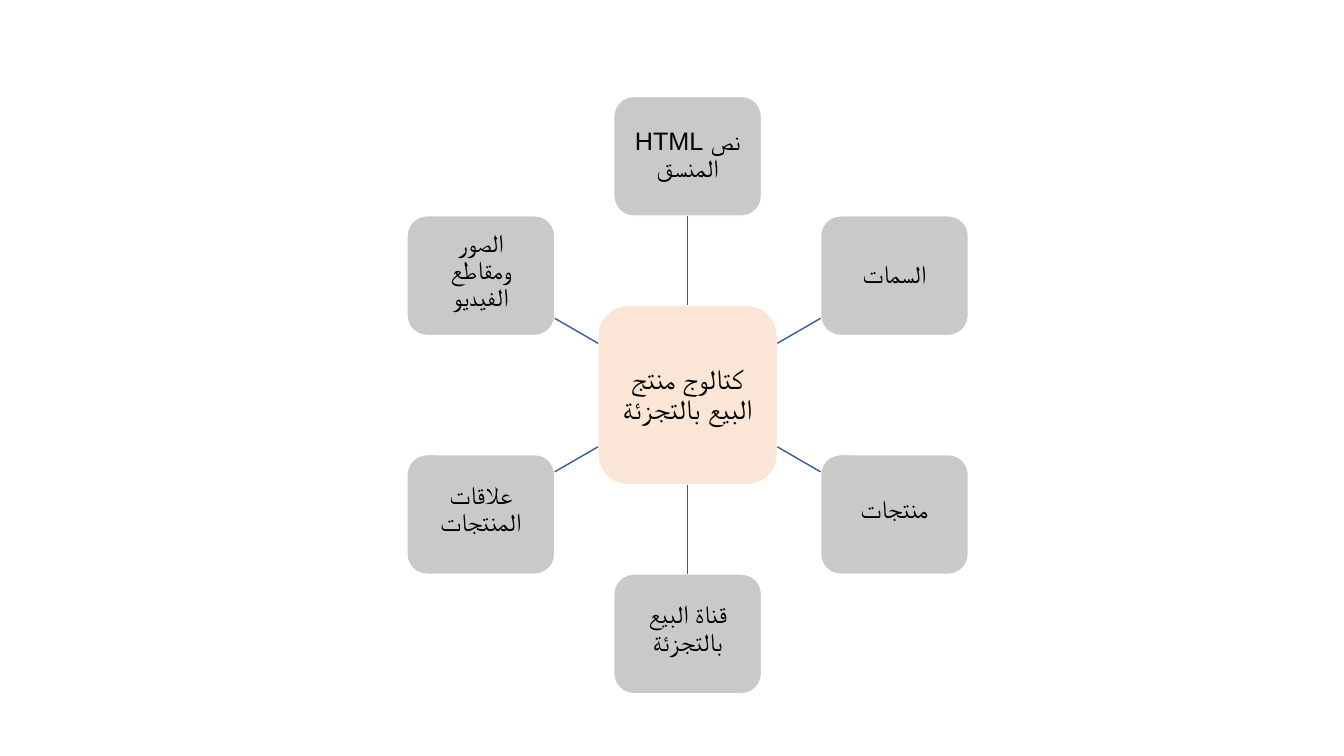
from math import cos, radians, sin, tan

from lxml import etree
from pptx import Presentation
from pptx.dml.color import RGBColor
from pptx.enum.shapes import MSO_CONNECTOR, MSO_SHAPE
from pptx.enum.text import MSO_ANCHOR, PP_ALIGN
from pptx.oxml.ns import qn
from pptx.util import Pt

STRAIGHT = MSO_CONNECTOR.STRAIGHT
ROUNDED = MSO_SHAPE.ROUNDED_RECTANGLE
MIDDLE = MSO_ANCHOR.MIDDLE
CENTER = PP_ALIGN.CENTER

COLORS = {"hub": "FBE5D6", "topic": "C9C9C9", "border": "FFFFFF",
          "spoke": "365B9D", "text": "000000"}
FONT = "Arial"
CENTER_X, CENTER_Y = 491.2, 282.2
RADIUS = 170.6
HUB_SIZE = 128
TOPIC_WIDTH, TOPIC_HEIGHT = 105.6, 85.5
EVEN_INSETS = (8, 8, 8, 8)
RAISED_INSETS = (11.5, 6, 11.5, 12.5)
TOPICS = [
    ("نص HTML المنسق", EVEN_INSETS),
    ("الصور ومقاطع الفيديو", RAISED_INSETS),
    ("علاقات المنتجات", RAISED_INSETS),
    ("قناة البيع بالتجزئة", RAISED_INSETS),
    ("منتجات", RAISED_INSETS),
    ("السمات", EVEN_INSETS),
]


def color(name):
    return RGBColor.from_string(COLORS[name])


def add_label(shape, text, size, insets):
    frame = shape.text_frame
    frame.word_wrap = True
    frame.vertical_anchor = MIDDLE
    (frame.margin_left, frame.margin_top,
     frame.margin_right, frame.margin_bottom) = map(Pt, insets)
    paragraph = frame.paragraphs[0]
    paragraph.alignment = CENTER
    paragraph.line_spacing = 0.9
    paragraph._p.get_or_add_pPr().set("rtl", "1")
    run = paragraph.add_run()
    run.text = text
    run.font.size = Pt(size)
    run.font.name = FONT
    run.font.color.rgb = color("text")
    etree.SubElement(run._r.get_or_add_rPr(), qn("a:cs")).set("typeface", FONT)


def add_box(slide, x, y, width, height, fill, text, size, insets):
    shape = slide.shapes.add_shape(ROUNDED, Pt(x - width / 2), Pt(y - height / 2),
                                   Pt(width), Pt(height))
    shape.shadow.inherit = False
    shape.fill.solid()
    shape.fill.fore_color.rgb = color(fill)
    shape.line.color.rgb = color("border")
    shape.line.width = Pt(1)
    add_label(shape, text, size, insets)
    return shape


def add_spoke(slide, start, end):
    connector = slide.shapes.add_connector(STRAIGHT, *map(Pt, start + end))
    connector.line.color.rgb = color("spoke")
    connector.line.width = Pt(1)
    etree.SubElement(connector._element.spPr, qn("a:effectLst"))
    return connector


def add_topic(slide, hub, angle, text, insets):
    x = CENTER_X + RADIUS * cos(angle)
    y = CENTER_Y + RADIUS * sin(angle)
    topic = add_box(slide, x, y, TOPIC_WIDTH, TOPIC_HEIGHT, "topic", text, 18, insets)
    if abs(cos(angle)) < 0.01:
        spoke = add_spoke(slide, (CENTER_X, CENTER_Y), (x, y))
        hub_side, topic_side = (0, 2) if y < CENTER_Y else (2, 0)
        spoke.begin_connect(hub, hub_side)
        spoke.end_connect(topic, topic_side)
        return
    side = 1 if x > CENTER_X else -1
    offsets = (side * HUB_SIZE / 2, x - CENTER_X - side * TOPIC_WIDTH / 2)
    start, end = [(CENTER_X + offset, CENTER_Y + offset * tan(angle)) for offset in offsets]
    add_spoke(slide, start, end)


def main():
    presentation = Presentation()
    presentation.slide_width = Pt(960)
    presentation.slide_height = Pt(540)
    slide = presentation.slides.add_slide(presentation.slide_layouts[6])
    hub = add_box(slide, CENTER_X, CENTER_Y, HUB_SIZE, HUB_SIZE, "hub",
                  "كتالوج منتج البيع بالتجزئة", 20, (10, 10, 10, 10))
    step = 360 / len(TOPICS)
    for index, (text, insets) in enumerate(TOPICS):
        add_topic(slide, hub, radians(-90 - index * step), text, insets)
    presentation.save("out.pptx")


if __name__ == "__main__":
    main()
